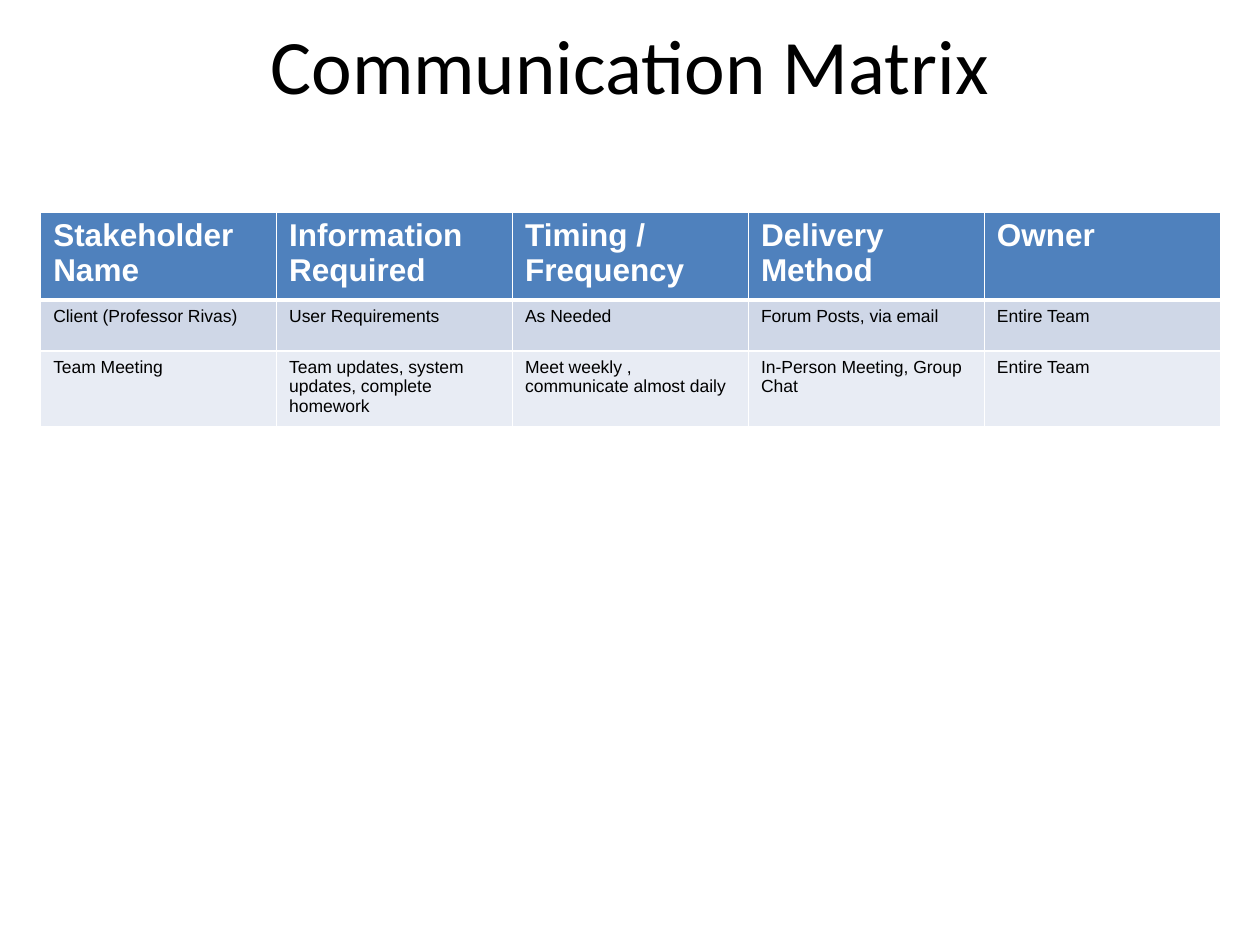
"""Build a one-slide communication matrix with a title and a table."""
import pptx
import pptx.dml.color
import pptx.enum.text
import pptx.oxml
import pptx.oxml.ns
import pptx.util

Cm = pptx.util.Cm
Pt = pptx.util.Pt


def color(code):
    return pptx.dml.color.RGBColor.from_string(code)


def write(frame, text, size=10, font="Arial", ink="000000", bold=False, align="LEFT"):
    frame.word_wrap = True
    para = frame.paragraphs[0]
    para.alignment = getattr(pptx.enum.text.PP_ALIGN, align)
    run = para.add_run()
    run.text = text
    run.font.size = Pt(size)
    run.font.name = font
    run.font.bold = bold
    run.font.color.rgb = color(ink)


deck = pptx.Presentation()
deck.slide_width = Cm(25.4)
deck.slide_height = Cm(19.05)
slide = deck.slides.add_slide(deck.slide_layouts[6])

title = slide.shapes.add_textbox(Cm(1.27), Cm(0.2), Cm(22.86), Cm(2.18))
title.text_frame.vertical_anchor = pptx.enum.text.MSO_ANCHOR.MIDDLE
write(title.text_frame, "Communication Matrix", size=44, font="Calibri", align="CENTER")

rows = [
    ["Stakeholder Name", "Information Required", "Timing / Frequency",
     "Delivery Method", "Owner"],
    ["Client (Professor Rivas)", "User Requirements", "As Needed",
     "Forum Posts, via email", "Entire Team"],
    ["Team Meeting", "Team updates, system updates, complete homework",
     "Meet weekly , communicate almost daily",
     "In-Person Meeting, Group Chat", "Entire Team"],
]
fills = ["4F81BD", "CFD7E7", "E8ECF4"]
tall = [1.67, 1.03, 1.4]
head = {"size": 18, "ink": "FFFFFF", "bold": True}

frame = slide.shapes.add_table(
    len(rows), len(rows[0]), Cm(0.82), Cm(4.27), Cm(23.78), Cm(sum(tall)))
table = frame.table
for col in table.columns:
    col.width = Cm(4.756)

for r, texts in enumerate(rows):
    table.rows[r].height = Cm(tall[r])
    for c, text in enumerate(texts):
        cell = table.cell(r, c)
        write(cell.text_frame, text, **(head if r == 0 else {}))
        props = cell._tc.get_or_add_tcPr()
        for side in "LRTB":
            thick = (r, side) in [(0, "B"), (1, "T")]
            props.append(pptx.oxml.parse_xml(
                f'<a:ln{side} {pptx.oxml.ns.nsdecls("a")} w="{Pt(3 if thick else 1)}">'
                f'<a:solidFill><a:srgbClr val="FFFFFF"/></a:solidFill></a:ln{side}>'))
        cell.fill.solid()
        cell.fill.fore_color.rgb = color(fills[r])

deck.save("out.pptx")
